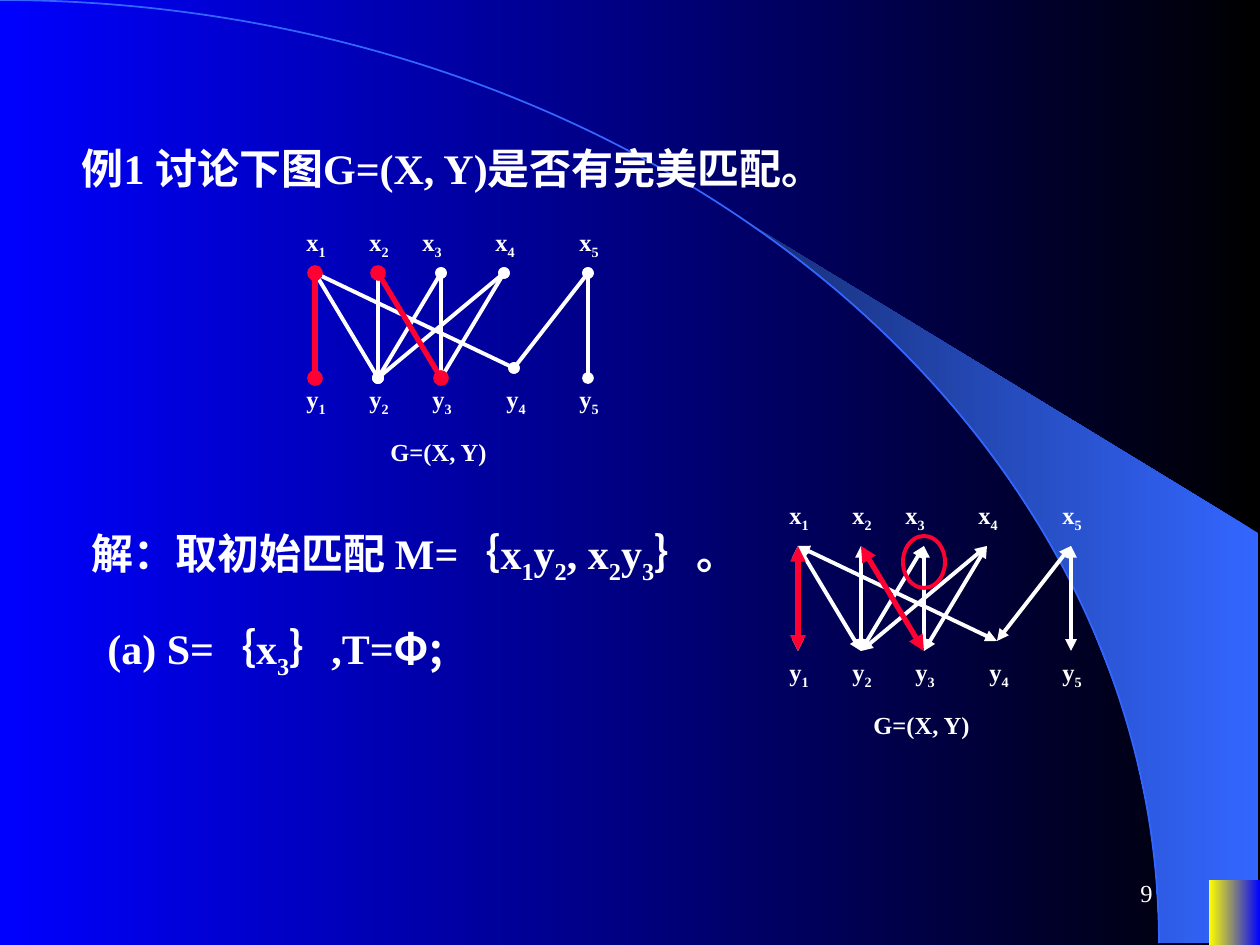
from dataclasses import dataclass
from math import cos, radians, sin

from lxml.etree import SubElement
from pptx import Presentation
from pptx.dml.color import RGBColor
from pptx.enum.shapes import MSO_CONNECTOR, MSO_SHAPE
from pptx.enum.text import MSO_ANCHOR, MSO_AUTO_SIZE, PP_ALIGN
from pptx.oxml.ns import qn
from pptx.util import Pt

EMU_PER_PX = 914400 / 126


@dataclass(frozen=True)
class Theme:
    white: str = "FFFFFF"
    red: str = "FF0033"
    black: str = "000000"
    blue: str = "0000FF"
    yellow: str = "FFFF00"
    sky: str = "3366FF"
    navy: str = "172F75"
    font: str = "Times New Roman"
    cjk_font: str = "Noto Sans CJK SC"
    body_size: int = 24
    label_size: int = 14
    edge_width: float = 2.25
    match_width: float = 3
    arc_width: float = 1


THEME = Theme()

# Bipartite graph, relative to vertex x1
VERTICES = {
    "x1": (0, 0), "x2": (63, 0), "x3": (126, 0), "x4": (189, 0), "x5": (273, 0),
    "y1": (0, 105), "y2": (63, 105), "y3": (126, 105), "y4": (199, 95), "y5": (273, 105),
}
EDGES = "x1-y1 x2-y2 x3-y3 x5-y5 x1-y2 y2-x3 x5-y4 x1-y4 x4-y3 x4-y2".split()
MATCHING = "x2-y3 x1-y1".split()
LABEL_ROWS = {"x": (-52, (0, 63, 116, 189, 273)), "y": (105, (0, 63, 126, 200, 273))}


def px(value):
    return round(value * EMU_PER_PX)


def box(*values):
    return [px(value) for value in values]


def set_attributes(target, values):
    for name, value in values.items():
        setattr(target, name, value)


def fill_gradient(fill, start, end):
    fill.gradient()
    fill.gradient_angle = 180
    for stop, color in zip(fill.gradient_stops, (start, end)):
        stop.color.rgb = RGBColor.from_string(color)


def style_line(line, color, width):
    line.color.rgb = RGBColor.from_string(color)
    line.width = Pt(width)


def add_run(paragraph, text, size, bold=True, subscript=False, font=THEME.font):
    run = paragraph.add_run()
    run.text = text
    set_attributes(run.font, {"size": Pt(size), "bold": bold, "name": font})
    run.font.color.rgb = RGBColor.from_string(THEME.white)
    properties = run._r.get_or_add_rPr()
    SubElement(properties, qn("a:ea")).set("typeface", THEME.cjk_font)
    if subscript:
        properties.set("baseline", "-25000")


def write_text(shape, text, size, bold=True, indent=0, anchor=MSO_ANCHOR.TOP,
               align=PP_ALIGN.LEFT, auto_size=MSO_AUTO_SIZE.SHAPE_TO_FIT_TEXT):
    """Write one paragraph; the character after each underscore is a subscript."""
    frame = shape.text_frame
    set_attributes(frame, {
        "word_wrap": True, "auto_size": auto_size, "vertical_anchor": anchor,
        "margin_left": px(12.6), "margin_right": px(12.6),
        "margin_top": px(6.3), "margin_bottom": px(6.3),
    })
    paragraph = frame.paragraphs[0]
    paragraph.alignment = align
    if indent:
        paragraph._p.get_or_add_pPr().set("marL", str(px(indent)))
    first, *pieces = text.split("_")
    add_run(paragraph, first, size, bold)
    for piece in pieces:
        add_run(paragraph, piece[0], size, bold, subscript=True)
        if piece[1:]:
            add_run(paragraph, piece[1:], size, bold)
    return paragraph


def add_text(shapes, position, text, size, **options):
    return write_text(shapes.add_textbox(*box(*position)), text, size, **options)


def add_edge(shapes, start, end, color, width, ending):
    connector = shapes.add_connector(MSO_CONNECTOR.STRAIGHT, *box(*start, *end))
    style_line(connector.line, color, width)
    line = connector.line._get_or_add_ln()
    for tag in ("a:headEnd", "a:tailEnd"):
        SubElement(line, qn(tag)).set("type", ending)
    SubElement(connector._element.spPr, qn("a:effectLst"))


def add_backdrop(slide):
    fill_gradient(slide.background.fill, THEME.black, THEME.blue)
    center_y, radius_x, radius_y = 943, 1159, 943

    # Wedge between the arc and the right edge
    curve = [(radius_x * cos(radians(angle)), center_y - radius_y * sin(radians(angle)))
             for angle in range(50, -1, -2)]
    builder = slide.shapes.build_freeform(1258, 943, scale=EMU_PER_PX)
    builder.add_line_segments([(1258, 533), *curve], close=True)
    wedge = builder.convert_to_shape()
    fill_gradient(wedge.fill, THEME.sky, THEME.navy)

    # Quarter arc and corner block
    arc = slide.shapes.add_shape(
        MSO_SHAPE.ARC, *box(-radius_x, 0, 2 * radius_x, 2 * radius_y))
    arc.fill.background()
    style_line(arc.line, THEME.sky, THEME.arc_width)
    corner = slide.shapes.add_shape(MSO_SHAPE.RECTANGLE, *box(1209, 880, 51, 65))
    fill_gradient(corner.fill, THEME.blue, THEME.yellow)
    for shape in (wedge, corner):
        shape.line.fill.background()
    for shape in (wedge, arc, corner):
        shape.shadow.inherit = False


def add_graph(slide, left, top, ending):
    shapes = slide.shapes.add_group_shape().shapes

    # Edges, with the matching on top
    for edges, color, width in ((EDGES, THEME.white, THEME.edge_width),
                                (MATCHING, THEME.red, THEME.match_width)):
        for edge in edges:
            start, end = [(left + VERTICES[name][0], top + VERTICES[name][1])
                          for name in edge.split("-")]
            add_edge(shapes, start, end, color, width, ending)

    # Vertex labels and caption
    for letter, (offset_y, offsets) in LABEL_ROWS.items():
        for number, offset_x in enumerate(offsets, 1):
            add_text(shapes, (left - 21 + offset_x, top + offset_y, 54, 46),
                     f"{letter}_{number}", THEME.label_size)
    add_text(shapes, (left + 63, top + 158, 139, 43), "G=(X, Y)", THEME.label_size)
    return shapes


def add_ring(shapes, position):
    ring = shapes.add_shape(MSO_SHAPE.OVAL, *box(*position))
    ring.fill.background()
    style_line(ring.line, THEME.red, THEME.edge_width)
    ring.shadow.inherit = False


def add_title(slide, position, text, **options):
    title = slide.shapes.title
    set_attributes(title, dict(zip(("left", "top", "width", "height"), box(*position))))
    write_text(title, text, THEME.body_size, **options)
    title.element.getparent().append(title.element)  # in front of the arc


def main():
    presentation = Presentation()
    set_attributes(presentation, {"slide_width": px(1260), "slide_height": px(945)})
    slide = presentation.slides.add_slide(presentation.slide_layouts[5])
    middle = MSO_ANCHOR.MIDDLE

    add_backdrop(slide)

    # Problem
    add_title(slide, (21, 136, 1176, 63), "例1 讨论下图G=(X, Y)是否有完美匹配。",
              indent=48, anchor=middle)
    add_graph(slide, 315, 273, "oval")

    # Solution
    add_text(slide.shapes, (32, 521, 1176, 71), "解：取初始匹配 M=｛x_1y_2, x_2y_3｝。",
             THEME.body_size, indent=47, anchor=middle)
    step = add_text(slide.shapes, (42, 616, 1176, 71), "(a) S=｛x_3｝,T=",
                    THEME.body_size, indent=53, anchor=middle)
    add_run(step, "Φ;", THEME.body_size, font=THEME.cjk_font)
    graph = add_graph(slide, 798, 546, "triangle")
    add_ring(graph, (903, 536, 42, 52))

    # Page number
    add_text(slide.shapes, (903, 861, 262, 63), "9", THEME.label_size, bold=False,
             anchor=middle, align=PP_ALIGN.RIGHT, auto_size=MSO_AUTO_SIZE.NONE)

    presentation.save("out.pptx")


if __name__ == "__main__":
    main()
